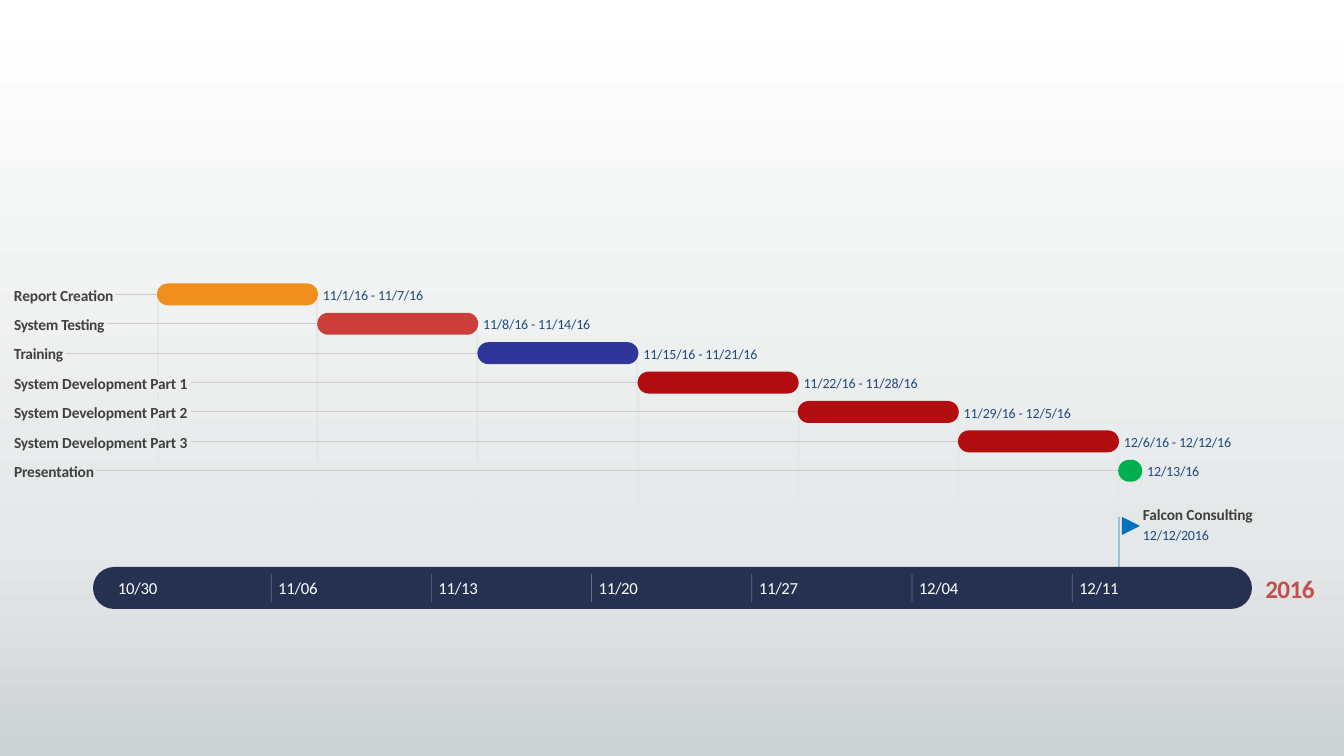
from pptx import Presentation, util as u
from pptx.dml import color
from pptx.enum import shapes, text
from pptx.oxml import ns
from lxml import etree

EMU_PER_PIXEL = 914400 / 100.8
COLORS = {
    "navy": "263050", "white": "FFFFFF", "label": "404040", "date": "1F497E",
    "year": "C0504D", "flag": "0072BC", "grid": "E5E8E8", "guide": "CCCCCC",
    "orange": "F08F1E", "coral": "CB3E3A", "blue": "2F3699", "red": "B20E12",
    "green": "00B050",
}
BACKGROUND_STOPS = [(0, "FFFFFF"), (72, "E5E8E8"), (100, "CDD2D2")]
TEXT_STYLES = {
    "label": {"size": u.Pt(11), "bold": True},
    "date": {"size": u.Pt(10)},
    "axis": {"size": u.Pt(12)},
    "year": {"size": u.Pt(18), "bold": True},
}


def px(value):
    """Turn pixels into EMU."""
    return u.Emu(round(value * EMU_PER_PIXEL))


def rgb(name):
    """Look up a named colour."""
    return color.RGBColor.from_string(COLORS[name])


class Timeline:
    """Holds the style and the current slide."""

    font = "Calibri"

    def __init__(self, deck):
        """Add a blank slide to the deck."""
        self.slide = deck.slides.add_slide(deck.slide_layouts[6])

    def background(self, stops):
        """Fill the slide from top to bottom with a gradient."""
        fill = self.slide.background.fill
        fill.gradient()
        fill.gradient_angle = 270
        stop_list = next(self.slide.element.iter(ns.qn("a:gsLst")))
        for stop in list(stop_list):
            stop_list.remove(stop)
        for percent, value in stops:
            stop = etree.SubElement(stop_list, ns.qn("a:gs"), pos=str(percent * 1000))
            etree.SubElement(stop, ns.qn("a:srgbClr"), val=value)

    def line(self, x1, y1, x2, y2, name, width, alpha=100):
        """Draw a straight line, with its opacity in percent."""
        line = self.slide.shapes.add_connector(
            shapes.MSO_CONNECTOR.STRAIGHT, px(x1), px(y1), px(x2), px(y2))
        line.line.color.rgb = rgb(name)
        line.line.width = u.Pt(width)
        properties = line._element.spPr
        if alpha < 100:
            tone = next(properties.iter(ns.qn("a:srgbClr")))
            etree.SubElement(tone, ns.qn("a:alpha"), val=str(alpha * 1000))
        etree.SubElement(properties, ns.qn("a:effectLst"))

    def shape(self, kind, x, y, width, height, name, rotation=0):
        """Draw a plain filled shape."""
        shape = self.slide.shapes.add_shape(kind, px(x), px(y), px(width), px(height))
        shape.shadow.inherit = False
        shape.fill.solid()
        shape.fill.fore_color.rgb = rgb(name)
        shape.line.fill.background()
        shape.rotation = rotation
        return shape

    def pill(self, x, y, width, height, name):
        """Draw a bar with fully rounded ends."""
        kind = shapes.MSO_SHAPE.ROUNDED_RECTANGLE
        self.shape(kind, x, y, width, height, name).adjustments[0] = 0.5

    def text(self, words, x, y, width, height, style, name, spacing=-10,
             wrap=True, align=text.PP_ALIGN.LEFT):
        """Write one line of text; spacing is in hundredths of a point."""
        box = self.slide.shapes.add_textbox(px(x), px(y), px(width), px(height))
        frame_format = {
            "margin_left": 0, "margin_right": 0, "margin_top": 0, "margin_bottom": 0,
            "word_wrap": wrap, "vertical_anchor": text.MSO_ANCHOR.MIDDLE,
        }
        for key, value in frame_format.items():
            setattr(box.text_frame, key, value)
        para = box.text_frame.paragraphs[0]
        para.alignment = align
        span = para.add_run()
        span.text = words
        for key, value in {"name": self.font, **TEXT_STYLES[style]}.items():
            setattr(span.font, key, value)
        span.font.color.rgb = rgb(name)
        span._r.get_or_add_rPr().set("spc", str(spacing))


# label, label width, letter spacing, dates, dates width, bar width, colour
TASKS = [
    ("Report Creation", 102, -10, "11/1/16 - 11/7/16", 105, 161, "orange"),
    ("System Testing", 94, -20, "11/8/16 - 11/14/16", 112, 161, "coral"),
    ("Training", 52, -20, "11/15/16 - 11/21/16", 119, 161, "blue"),
    ("System Development Part 1", 178, -10, "11/22/16 - 11/28/16", 119, 161, "red"),
    ("System Development Part 2", 178, -10, "11/29/16 - 12/5/16", 112, 161, "red"),
    ("System Development Part 3", 178, -10, "12/6/16 - 12/12/16", 112, 161, "red"),
    ("Presentation", 83, -10, "12/13/16", 56, 24, "green"),
]
WEEKS = ["10/30", "11/06", "11/13", "11/20", "11/27", "12/04", "12/11"]
WEEK, ROW = 160.2, 29.4
FIRST_BAR, FIRST_ROW = 157, 294.4
LABEL_LEFT, AXIS_TOP, AXIS_HEIGHT = 14, 567, 42

deck = Presentation()
deck.slide_width, deck.slide_height = px(1344), px(756)
chart = Timeline(deck)
chart.background(BACKGROUND_STOPS)

rows = [(FIRST_BAR + WEEK * i, FIRST_ROW + ROW * i, task)
        for i, task in enumerate(TASKS)]

# Vertical grid lines, broken where a long label crosses the first one
for left, middle, task in reversed(rows):
    right = left + task[5] - 1
    chart.line(right, middle, right, AXIS_TOP, "grid", 1.5)
    crossed = [y for _, y, other in rows
               if y > middle and LABEL_LEFT + other[1] > left]
    starts = [middle] + [y + 9 for y in crossed]
    ends = [y - 9 for y in crossed] + [AXIS_TOP]
    for start, end in zip(starts, ends):
        chart.line(left + 1, start, left + 1, end, "grid", 1.5)

for left, middle, task in reversed(rows):
    chart.line(LABEL_LEFT + task[1] - 1, middle, left, middle, "guide", 0.75)

# Time axis
chart.line(1119, 517, 1119, AXIS_TOP, "flag", 0.75, 50)
chart.text("2016", 1255, 573, 70, 31, "year", "year", -40, False,
           text.PP_ALIGN.CENTER)
chart.pill(93, AXIS_TOP, 1159, AXIS_HEIGHT, "navy")
for i, week in enumerate(WEEKS):
    left = 118 + WEEK * i
    if i:
        chart.line(left - 7, 574, left - 7, 602, "white", 0.5, 30)
    chart.text(week, left, 578, 41, 20, "axis", "white", -20, False)

# Milestone
chart.text("Falcon Consulting", 1143, 505, 120, 19, "label", "label")
chart.text("12/12/2016", 1143, 526, 69, 17, "date", "date")
chart.shape(shapes.MSO_SHAPE.FLOWCHART_MERGE, 1122, 517, 18, 18, "flag", 270)

# Tasks
for left, middle, (label, label_width, spacing, dates, dates_width, width, name) in rows:
    chart.pill(left, middle - 11, width, 22, name)
    chart.text(dates, left + width + 5, middle - 8, dates_width, 17, "date", "date")
    chart.text(label, LABEL_LEFT, middle - 9, label_width, 19, "label", "label", spacing)

deck.save("out.pptx")
